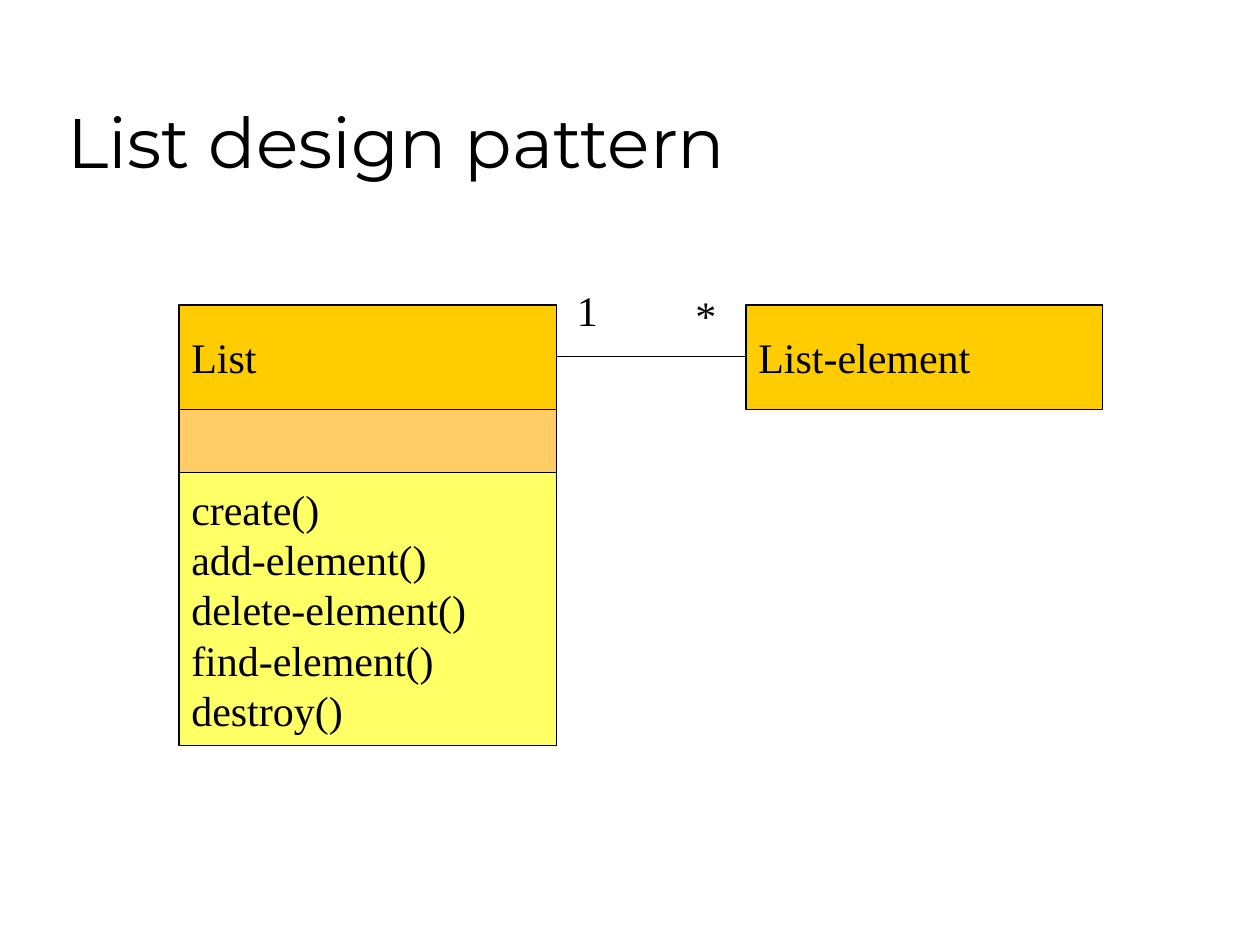
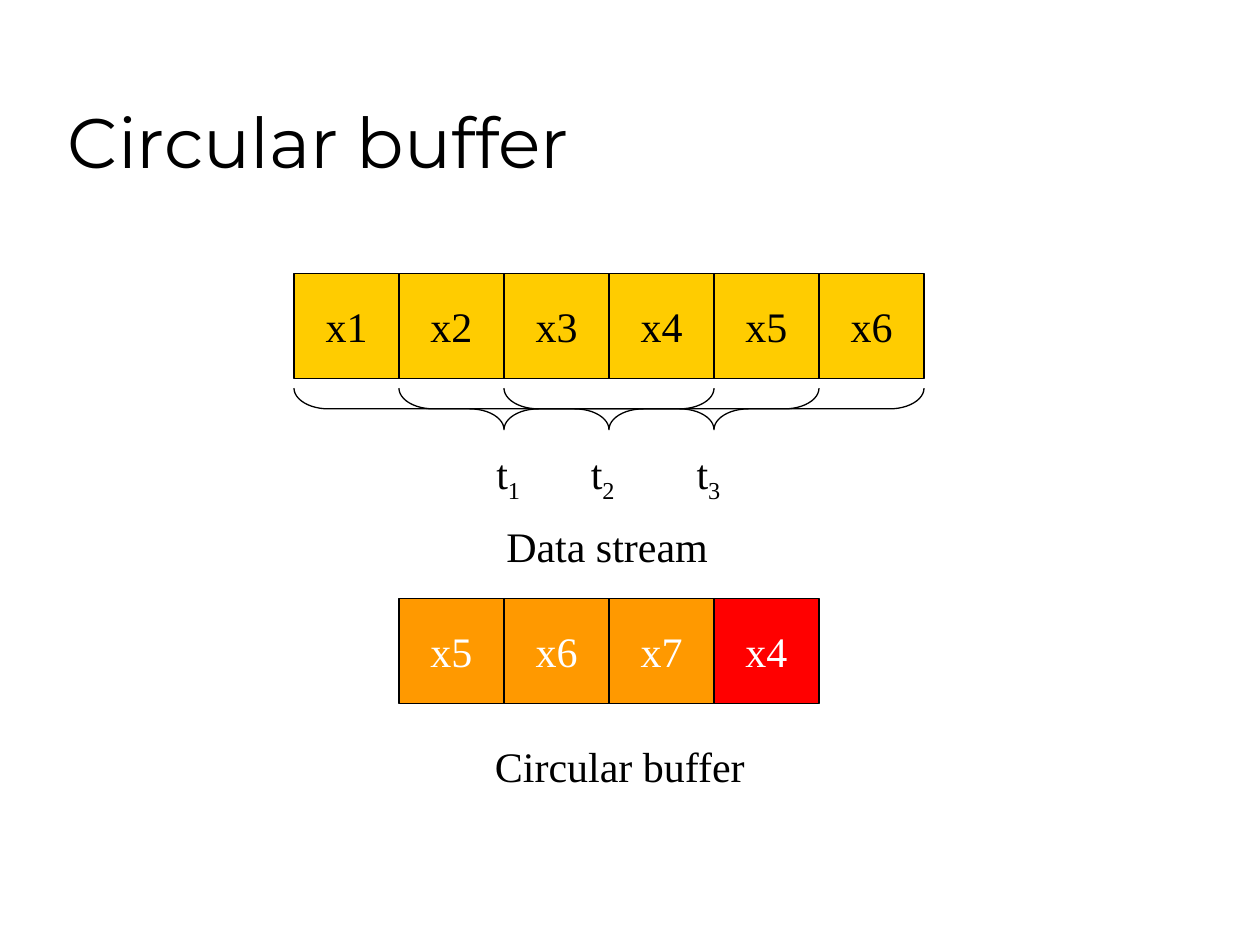
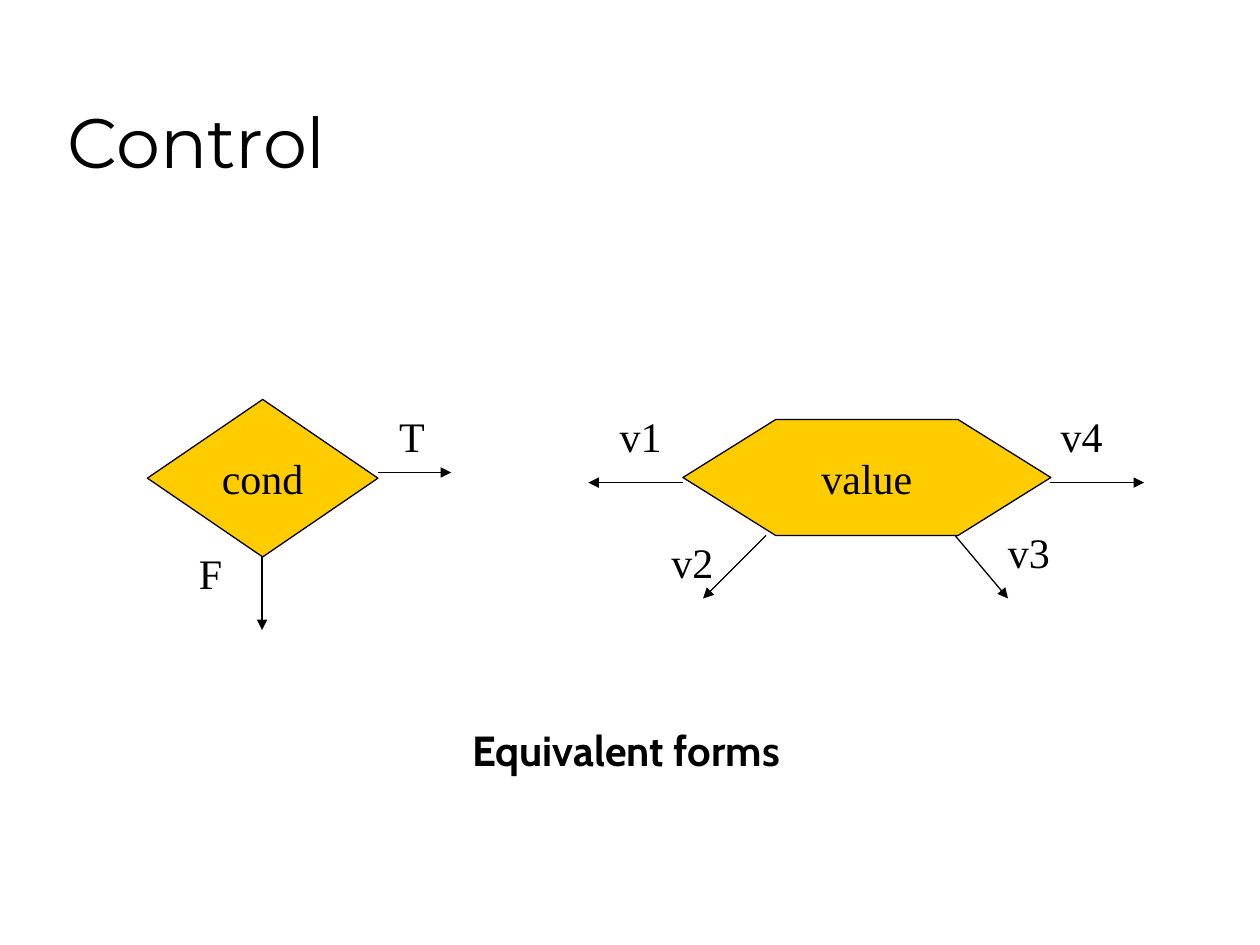
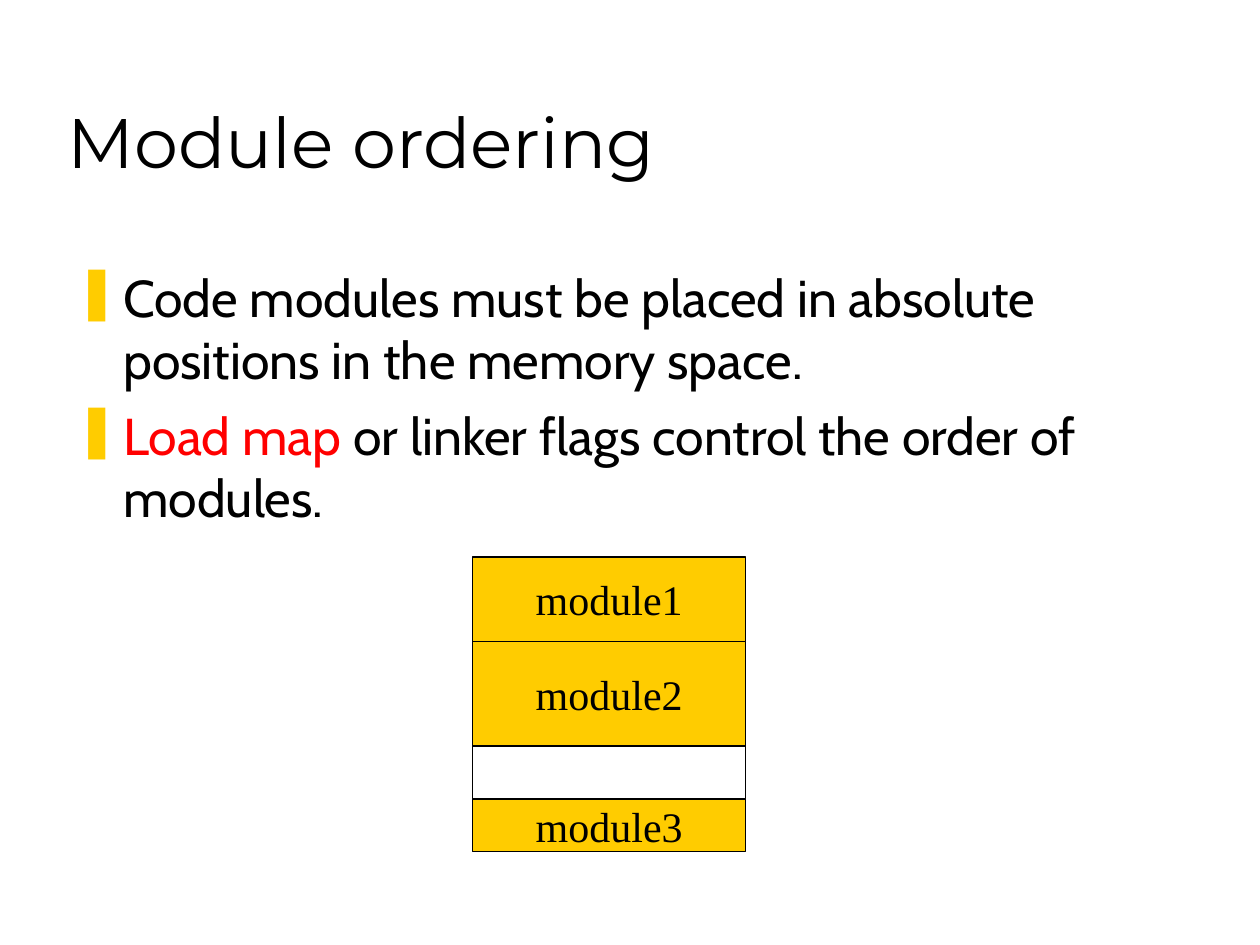
"""Builds four slides on program design patterns and module layout."""
from lxml.etree import SubElement
from pptx import Presentation
from pptx.dml.color import RGBColor
from pptx.enum.shapes import MSO_CONNECTOR as Connector, MSO_SHAPE as Shape
from pptx.enum.text import MSO_ANCHOR as Anchor, MSO_AUTO_SIZE as AutoSize, PP_ALIGN as Align
from pptx.oxml.ns import qn
from pptx.util import Inches, Pt

COLORS = {
    "ink": "000000",
    "paper": "FFFFFF",
    "gold": "FFCC00",
    "peach": "FFCC66",
    "lemon": "FFFF66",
    "orange": "FF9900",
    "red": "FF0000",
}
DIAGRAM_FONT, TITLE_FONT, BODY_FONT = "Times New Roman", "Montserrat", "Cabin"
CELL = 5 / 6


class Deck:
    """Holds the presentation, its style and the current slide."""

    def __init__(self):
        self.deck = Presentation()
        self.deck.slide_width, self.deck.slide_height = Inches(10), Inches(7.5)
        self.page = None

    def add_page(self, title):
        """Starts a slide with its title."""
        self.page = self.deck.slides.add_slide(self.deck.slide_layouts[6])
        box = self.text_box(0.44, 0.25, 8.5, 1.25)
        box.text_frame.vertical_anchor = Anchor.BOTTOM
        self.add_run(box.text_frame.paragraphs[0], title, size=40, font=TITLE_FONT)

    def text_box(self, left, top, width, height):
        """Adds an empty wrapping text box."""
        box = self.page.shapes.add_textbox(Inches(left), Inches(top), Inches(width), Inches(height))
        box.text_frame.word_wrap = True
        return box

    def add_run(self, para, text, color="ink", size=24, font=DIAGRAM_FONT, bold=False):
        """Adds one styled run to a paragraph."""
        span = para.add_run()
        span.text = text
        span.font.name, span.font.size, span.font.bold = font, Pt(size), bold
        span.font.color.rgb = RGBColor.from_string(COLORS[color])
        return span

    def label(self, text, left, top, width, height=0.5, subscript="", **style):
        """Adds a one-line label that keeps to its text."""
        frame = self.text_box(left, top, width, height).text_frame
        frame.word_wrap = False
        frame.auto_size = AutoSize.SHAPE_TO_FIT_TEXT
        para = frame.paragraphs[0]
        self.add_run(para, text, **style)
        if subscript:
            span = self.add_run(para, subscript, **style)
            span.font._element.set("baseline", "-25000")

    def block(self, left, top, width, height, lines=(), fill=None, kind=Shape.RECTANGLE,
              align=Align.CENTER, color="ink"):
        """Adds an outlined shape with optional lines of text."""
        box = self.page.shapes.add_shape(kind, Inches(left), Inches(top), Inches(width), Inches(height))
        box.shadow.inherit = False
        box.line.color.rgb = RGBColor.from_string(COLORS["ink"])
        box.line.width = Pt(0.75)
        if fill:
            box.fill.solid()
            box.fill.fore_color.rgb = RGBColor.from_string(COLORS[fill])
        else:
            box.fill.background()
        frame = box.text_frame
        frame.word_wrap = False
        frame.vertical_anchor = Anchor.MIDDLE
        for number, line in enumerate(lines):
            para = frame.add_paragraph() if number else frame.paragraphs[0]
            para.alignment = align
            self.add_run(para, line, color)
        return box

    def brace(self, left, top, length, depth):
        """Adds a horizontal brace whose tip points down."""
        middle, centre = left + length / 2, top + depth / 2
        box = self.block(middle - depth / 2, centre - length / 2, depth, length, kind=Shape.LEFT_BRACE)
        box.rotation = 270
        box.adjustments[0] = 0.83

    def line(self, start, end, arrow=False):
        """Adds a straight line, with an arrowhead at its end if wanted."""
        ends = [Inches(value) for value in (*start, *end)]
        connector = self.page.shapes.add_connector(Connector.STRAIGHT, *ends)
        connector.line.color.rgb = RGBColor.from_string(COLORS["ink"])
        connector.line.width = Pt(0.75)
        properties = connector._element.spPr
        if arrow:
            SubElement(properties.find(qn("a:ln")), qn("a:tailEnd"), type="triangle")
        SubElement(properties, qn("a:effectLst"))

    def bullets(self, left, top, width, height, items):
        """Adds a bulleted list; each item is a list of text and colour pairs."""
        frame = self.text_box(left, top, width, height).text_frame
        for number, item in enumerate(items):
            para = frame.add_paragraph() if number else frame.paragraphs[0]
            properties = para._p.get_or_add_pPr()
            properties.set("marL", str(Inches(0.38)))
            properties.set("indent", str(Inches(-0.38)))
            tint = SubElement(properties, qn("a:buClr"))
            SubElement(tint, qn("a:srgbClr"), val=COLORS["gold"])
            SubElement(properties, qn("a:buChar"), char="❚")
            para.space_before = Pt(8 if number else 0)
            for text, color in item:
                self.add_run(para, text, color, size=29.6, font=BODY_FONT)


def list_pattern(show):
    """Draws the class diagram of the list pattern."""
    show.add_page("List design pattern")
    methods = ["create()", "add-element()", "delete-element()", "find-element()", "destroy()"]
    top = 2.42
    for lines, height, fill in ((["List"], 0.83, "gold"), ([], 0.5, "peach"), (methods, 2.17, "lemon")):
        show.block(1.42, top, 3, height, lines, fill, align=Align.LEFT)
        top += height
    show.block(5.92, 2.42, 2.83, 0.83, ["List-element"], "gold", align=Align.LEFT)
    show.line((4.42, 2.83), (5.92, 2.83))
    show.label("1", 4.48, 2.21, 0.36)
    show.label("*", 5.42, 2.25, 0.36)


def circular_buffer(show):
    """Draws the data stream, its windows and the buffer."""
    show.add_page("Circular buffer")
    stream_left = 7 / 3
    for column in range(6):
        show.block(stream_left + column * CELL, 2.17, CELL, CELL, [f"x{column + 1}"], "gold")
    for step, label_left in enumerate((3.84, 4.59, 5.43)):
        show.brace(stream_left + step * CELL, 3.08, 4 * CELL, 0.33)
        show.label("t", label_left, 3.5, 0.39, 0.56, subscript=str(step + 1))
    show.label("Data stream", 3.92, 4.08, 1.8)
    for column, name in enumerate(("x5", "x6", "x7", "x4"), start=1):
        fill = "red" if name == "x4" else "orange"
        show.block(stream_left + column * CELL, 4.75, CELL, CELL, [name], fill, color="paper")
    show.label("Circular buffer", 3.83, 5.83, 2.19)


def control(show):
    """Draws the two equivalent decision nodes."""
    show.add_page("Control")
    show.block(1.17, 3.17, 1.83, 1.25, ["cond"], "gold", Shape.DIAMOND)
    node = show.block(5.42, 3.33, 2.92, 0.92, ["value"], "gold", Shape.HEXAGON)
    node.adjustments[0] = 0.8
    branches = (
        ("T", 3.07, 3.21, 0.4, (3, 3.75), (3.58, 3.75)),
        ("F", 1.48, 4.3, 0.38, (2.08, 4.42), (2.08, 5)),
        ("v1", 4.82, 3.21, 0.53, (5.42, 3.83), (4.67, 3.83)),
        ("v2", 5.23, 4.21, 0.53, (6.08, 4.25), (5.58, 4.75)),
        ("v3", 7.9, 4.13, 0.53, (7.58, 4.25), (8, 4.75)),
        ("v4", 8.32, 3.21, 0.53, (8.33, 3.83), (9.08, 3.83)),
    )
    for name, left, top, width, start, end in branches:
        show.line(start, end, arrow=True)
        show.label(name, left, top, width)
    show.label("Equivalent forms", 3.65, 5.7, 3.04, font=BODY_FONT, bold=True)


def module_ordering(show):
    """Draws the memory map under its two rules."""
    show.add_page("Module ordering")
    show.bullets(0.5, 2.06, 8.94, 2.44, [
        [("Code modules must be placed in absolute positions in the memory space.", "ink")],
        [("Load map", "red"), (" or linker flags control the order of modules.", "ink")],
    ])
    top = 4.42
    for lines, height, fill in ((["module1"], 0.67, "gold"), (["module2"], 0.83, "gold"),
                                ([], 0.42, None), (["module3"], 0.42, "gold")):
        show.block(3.75, top, 2.17, height, lines, fill)
        top += height


def main():
    """Builds and saves the deck."""
    show = Deck()
    for build in (list_pattern, circular_buffer, control, module_ordering):
        build(show)
    show.deck.save("out.pptx")


if __name__ == "__main__":
    main()
